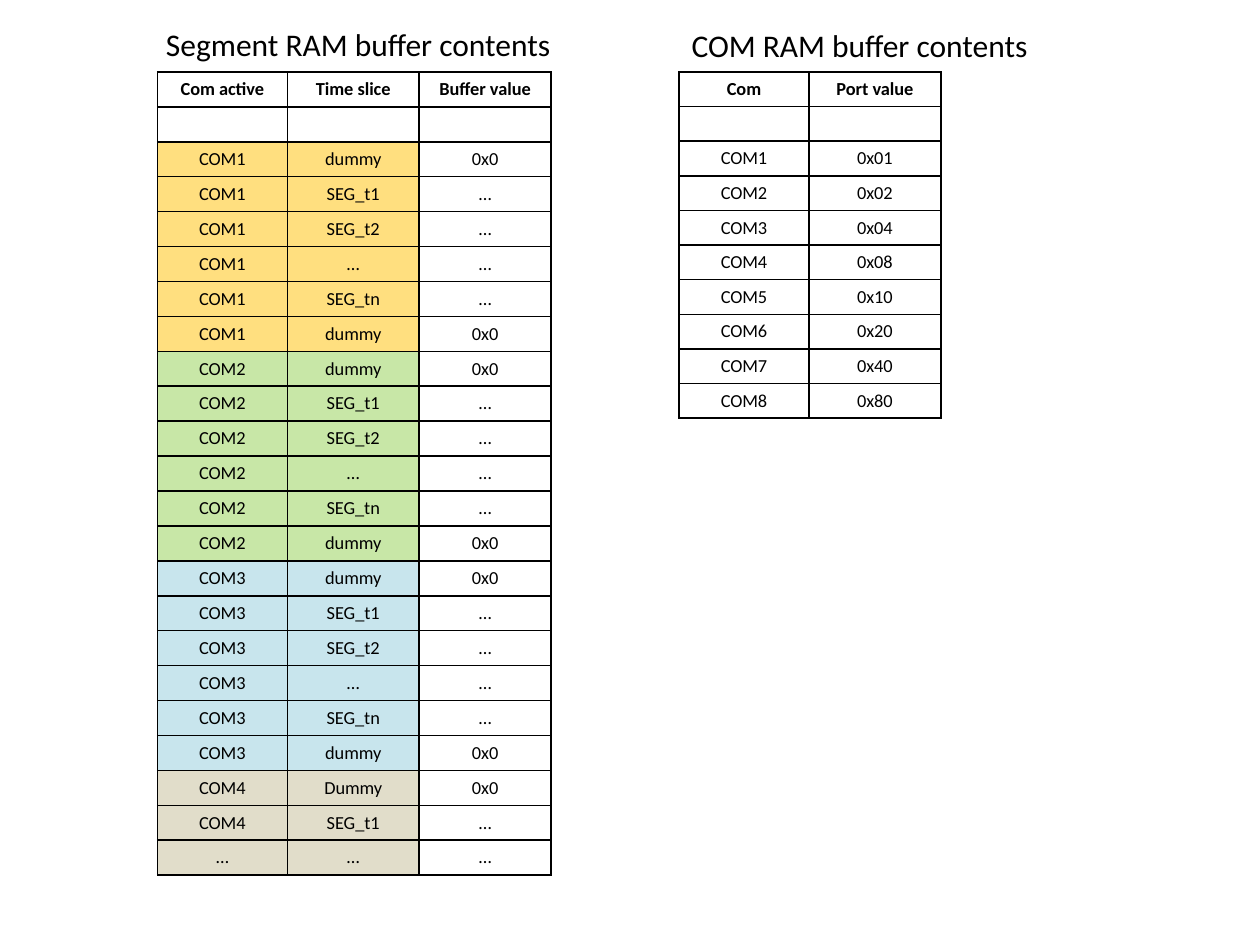
"""Build a slide with the segment and COM RAM buffer tables."""
from lxml import etree
from pptx import Presentation
from pptx.dml.color import RGBColor
from pptx.enum import text
from pptx.oxml import ns
from pptx.util import Pt

THEME = {
    "font": "Calibri",
    "heading_size": 18,
    "cell_size": 10.5,
    "ink": "000000",
    "COM1": "FFC000",
    "COM2": "92D050",
    "COM3": "93CDDD",
    "COM4": "C4BD97",
}
COLUMN_WIDTHS = [74.2, 75.4, 75.4]


def add_heading(slide, wording, left, top, width):
    box = slide.shapes.add_textbox(Pt(left), Pt(top), Pt(width), Pt(29))
    box.text_frame.word_wrap = True
    box.text_frame.text = wording
    font = box.text_frame.paragraphs[0].runs[0].font
    font.name = THEME["font"]
    font.size = Pt(THEME["heading_size"])
    font.color.rgb = RGBColor.from_string(THEME["ink"])


def add_buffer_table(slide, rows, fills, left, row_height):
    widths = COLUMN_WIDTHS[:len(rows[0])]
    table = slide.shapes.add_table(
        len(rows), len(widths), Pt(left), Pt(41.1),
        Pt(sum(widths)), Pt(row_height * len(rows))).table
    table.first_row = table.horz_banding = False
    for column, width in zip(table.columns, widths):
        column.width = Pt(width)
    for row_index, (values, fill) in enumerate(zip(rows, fills)):
        table.rows[row_index].height = Pt(row_height)
        for column_index, value in enumerate(values):
            cell = table.cell(row_index, column_index)
            cell.margin_top = cell.margin_bottom = Pt(3)
            cell.vertical_anchor = text.MSO_ANCHOR.MIDDLE
            properties = cell._tc.get_or_add_tcPr()
            for side in ("a:lnL", "a:lnR", "a:lnT", "a:lnB"):
                line = etree.SubElement(properties, ns.qn(side), w=str(Pt(1)))
                solid = etree.SubElement(line, ns.qn("a:solidFill"))
                etree.SubElement(solid, ns.qn("a:srgbClr"), val=THEME["ink"])
            if fill and column_index < 2:
                cell.fill.solid()
                cell.fill.fore_color.rgb = RGBColor.from_string(fill)
                color = properties.find(ns.qn("a:solidFill"))[0]
                etree.SubElement(color, ns.qn("a:alpha"), val="50000")
            else:
                cell.fill.background()
            paragraph = cell.text_frame.paragraphs[0]
            paragraph.alignment = text.PP_ALIGN.CENTER
            if not value:
                etree.SubElement(paragraph._p, ns.qn("a:endParaRPr"),
                                 sz=str(int(THEME["cell_size"] * 100)))
                continue
            paragraph.text = value
            font = paragraph.runs[0].font
            font.name = THEME["font"]
            font.size = Pt(THEME["cell_size"])
            font.bold = row_index == 0
            font.color.rgb = RGBColor.from_string(THEME["ink"])


presentation = Presentation()
presentation.slide_width = Pt(720)
presentation.slide_height = Pt(540)
slide = presentation.slides.add_slide(presentation.slide_layouts[6])

segment_rows = [["Com active", "Time slice", "Buffer value"], [""] * 3]
segment_fills = [None, None]
for com in ("COM1", "COM2", "COM3"):
    for time_slice in ("dummy", "SEG_t1", "SEG_t2", "…", "SEG_tn", "dummy"):
        value = "0x0" if time_slice == "dummy" else "…"
        segment_rows.append([com, time_slice, value])
        segment_fills.append(THEME[com])
segment_rows += [["COM4", "Dummy", "0x0"], ["COM4", "SEG_t1", "…"], ["…"] * 3]
segment_fills += [THEME["COM4"]] * 3

com_rows = [["Com", "Port value"], [""] * 2]
com_rows += [[f"COM{bit + 1}", f"0x{1 << bit:02d}" if bit < 4 else f"0x{1 << bit:02X}"]
             for bit in range(8)]

add_buffer_table(slide, segment_rows, segment_fills, 90, 19.97)
add_heading(slide, "Segment RAM buffer contents", 87.8, 10.8, 244)
add_buffer_table(slide, com_rows, [None] * len(com_rows), 388.1, 19.8)
add_heading(slide, "COM RAM buffer contents", 388.1, 11.5, 227)

presentation.save("out.pptx")
